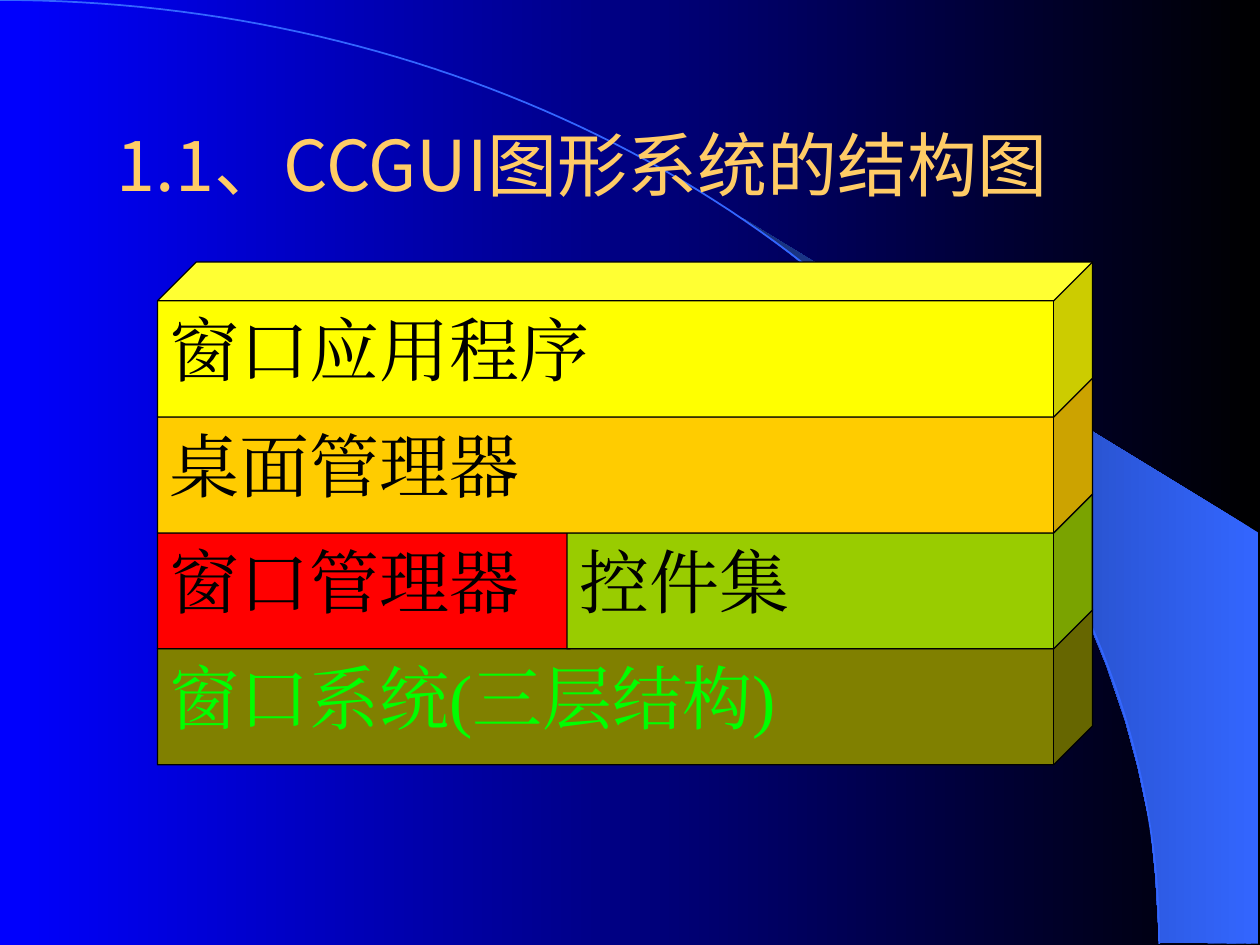
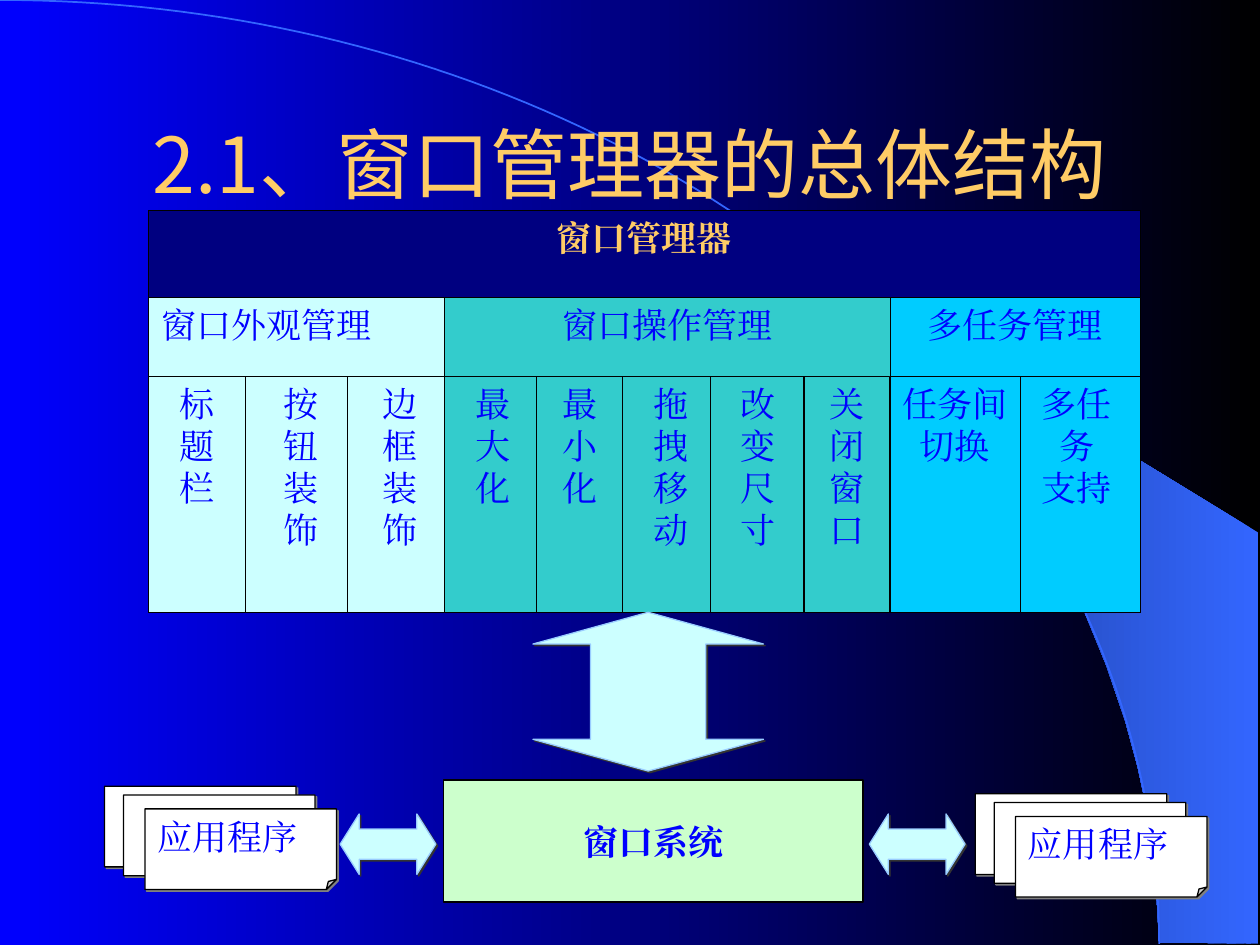
import math

import lxml.etree
import pptx
import pptx.dml.color
import pptx.enum.shapes
import pptx.enum.text
import pptx.oxml.ns
import pptx.util

RGBColor = pptx.dml.color.RGBColor
BLACK = RGBColor(0x00, 0x00, 0x00)
WHITE = RGBColor(0xFF, 0xFF, 0xFF)
BLUE = RGBColor(0x00, 0x00, 0xFF)
NAVY = RGBColor(0x00, 0x00, 0x80)
GOLD = RGBColor(0xFF, 0xCC, 0x66)
ARC_BLUE = RGBColor(0x33, 0x66, 0xFF)
ARC_SHADE = RGBColor(0x17, 0x2F, 0x75)
YELLOW = RGBColor(0xFF, 0xFF, 0x00)
AMBER = RGBColor(0xFF, 0xCC, 0x00)
RED = RGBColor(0xFF, 0x00, 0x00)
LEAF = RGBColor(0x99, 0xCC, 0x00)
OLIVE = RGBColor(0x80, 0x80, 0x00)
LIME = RGBColor(0x00, 0xFF, 0x00)
PALE_CYAN = RGBColor(0xCC, 0xFF, 0xFF)
PALE_GREEN = RGBColor(0xCC, 0xFF, 0xCC)
TEAL = RGBColor(0x33, 0xCC, 0xCC)
SKY = RGBColor(0x00, 0xCC, 0xFF)
ARROW_LINE = RGBColor(0x99, 0xCC, 0xFF)
DARK_GREY = RGBColor(0x33, 0x33, 0x33)
GREY = RGBColor(0x80, 0x80, 0x80)

TITLE_FONT = "Noto Sans CJK SC"
TEXT_FONT = "Times New Roman"
WIDTH, HEIGHT = 10, 7.5
ARC_WIDTH, ARC_HEIGHT = 9.2, 7.49
SWOOSH = [(9.2, 7.48), (9.99, 7.49), (9.99, 4.23), (5.89, 1.73), (6.24, 1.99),
          (6.53, 2.22), (6.85, 2.5), (7.16, 2.8), (7.62, 3.3), (8.03, 3.84),
          (8.32, 4.31), (8.58, 4.79), (8.78, 5.28), (8.93, 5.72), (9.03, 6.09),
          (9.13, 6.56), (9.17, 6.96)]

STACK_LEFT, STACK_TOP, STACK_WIDTH = 1.25, 2.08, 7.42
CUBE_HEIGHT, ROW_STEP = 1.23, 0.92
CUBES = [("窗口系统(三层结构)", 3, 0, STACK_WIDTH, OLIVE, LIME),
         ("窗口管理器", 2, 0, 3.58, RED, BLACK),
         ("控件集", 2, 3.25, 4.17, LEAF, BLACK),
         ("桌面管理器", 1, 0, STACK_WIDTH, AMBER, BLACK),
         ("窗口应用程序", 0, 0, STACK_WIDTH, YELLOW, BLACK)]

HEADER_TOP, CELL_TOP, TABLE_BOTTOM = 2.36, 2.99, 4.86
GROUPS = [
    ("窗口外观管理", 1.18, 2.35, PALE_CYAN, "left",
     [("标\n题\n栏", 1.18, 0.77), ("按\n钮\n装\n饰", 1.95, 0.88),
      ("边\n框\n装\n饰", 2.76, 0.83)]),
    ("多任务管理", 7.06, 1.99, SKY, "center",
     [("多任务\n支持", 8.04, 1.01), ("任务间\n切换", 7.06, 1.04)]),
    ("窗口操作管理", 3.53, 3.54, TEAL, "center",
     [("最\n大\n化", 3.53, 0.77), ("最\n小\n化", 4.26, 0.68),
      ("拖\n拽\n移\n动", 4.94, 0.77), ("改\n变\n尺\n寸", 5.64, 0.75),
      ("关\n闭\n窗\n口", 6.38, 0.68)])]

PAPER_OFFSETS = [(0, 0), (0.15, 0.07), (0.32, 0.18)]
ALIGNMENTS = {"left": pptx.enum.text.PP_ALIGN.LEFT,
              "center": pptx.enum.text.PP_ALIGN.CENTER}


def inches(*lengths):
    """Convert lengths in inches to drawing units."""
    return [pptx.util.Inches(length) for length in lengths]


def format_text(frame, text, size, color, font=TEXT_FONT, align="left", bold=False):
    """Write paragraphs into a text frame with one shared style."""
    frame.text = text
    frame.word_wrap = True
    for para in frame.paragraphs:
        para.alignment = ALIGNMENTS[align]
        for span in para.runs:
            span.font.size = pptx.util.Pt(size)
            span.font.bold = bold
            span.font.name = font
            span.font.color.rgb = color
            east_asian = lxml.etree.SubElement(span.font._element, pptx.oxml.ns.qn("a:ea"))
            east_asian.set("typeface", font)


def set_gradient(fill, first, last):
    """Fill with a gradient that runs from right to left."""
    fill.gradient()
    fill.gradient_angle = 180
    for stop, color in zip(fill.gradient_stops, (first, last)):
        stop.color.rgb = color


def add_shadow(shape, color):
    """Give a shape a small hard shadow to the lower right."""
    effects = shape.element.spPr.find(pptx.oxml.ns.qn("a:effectLst"))
    shadow = lxml.etree.SubElement(effects, pptx.oxml.ns.qn("a:outerShdw"),
                                   dist=str(pptx.util.Pt(1.4)), dir="2700000",
                                   algn="ctr", rotWithShape="0")
    lxml.etree.SubElement(shadow, pptx.oxml.ns.qn("a:srgbClr"), val=str(color))


def set_guides(shape, **guides):
    """Set the named adjustment guides of a preset shape."""
    values = shape.element.spPr.find(".//" + pptx.oxml.ns.qn("a:avLst"))
    for guide in list(values):
        values.remove(guide)
    for name, share in guides.items():
        lxml.etree.SubElement(values, pptx.oxml.ns.qn("a:gd"), name=name,
                              fmla=f"val {round(share * 100000)}")


def add_box(slide, kind, area, fill, line=BLACK):
    """Add a flat preset shape with a thin outline."""
    kind = getattr(pptx.enum.shapes.MSO_SHAPE, kind)
    box = slide.shapes.add_shape(kind, *inches(*area))
    box.shadow.inherit = False
    box.fill.solid()
    box.fill.fore_color.rgb = fill
    box.line.color.rgb = line
    box.line.width = pptx.util.Pt(0.75)
    box.text_frame.vertical_anchor = pptx.enum.text.MSO_ANCHOR.TOP
    return box


def add_outline(slide, points, close):
    """Add a freeform through points given in inches."""
    start, *rest = [inches(*point) for point in points]
    builder = slide.shapes.build_freeform(*start)
    builder.add_line_segments(rest, close=close)
    outline = builder.convert_to_shape()
    outline.shadow.inherit = False
    return outline


def decorate_master(deck, slide):
    """Put the gradient, the swoosh and the arc on the slide master."""
    master = deck.slide_master
    set_gradient(master.background.fill, BLACK, BLUE)
    swoosh = add_outline(slide, SWOOSH, True)
    set_gradient(swoosh.fill, ARC_BLUE, ARC_SHADE)
    swoosh.line.fill.background()
    angles = [math.radians(degree) for degree in range(91)]
    arc = add_outline(slide, [(ARC_WIDTH * math.sin(angle), ARC_HEIGHT * (1 - math.cos(angle)))
                              for angle in angles], False)
    arc.fill.background()
    arc.line.color.rgb = ARC_BLUE
    arc.line.width = pptx.util.Pt(1)
    for shape in (swoosh, arc):
        master.shapes.element.append(shape.element)


def add_titled_slide(deck, text, left, width, size, side_margin):
    """Add a slide with its title placed and formatted."""
    slide = deck.slides.add_slide(deck.slide_layouts[5])
    title = slide.shapes.title
    title.left, title.top, title.width, title.height = inches(left, 0.67, width, 1.25)
    frame = title.text_frame
    frame.auto_size = pptx.enum.text.MSO_AUTO_SIZE.NONE
    frame.vertical_anchor = pptx.enum.text.MSO_ANCHOR.MIDDLE
    frame.margin_left = frame.margin_right = pptx.util.Inches(side_margin)
    format_text(frame, text, size, GOLD, TITLE_FONT, "center")
    return slide


def add_cube_stack(slide):
    """Stack the system layers from the bottom up."""
    for text, row, shift, width, fill, color in CUBES:
        area = (STACK_LEFT + shift, STACK_TOP + row * ROW_STEP, width, CUBE_HEIGHT)
        cube = add_box(slide, "CUBE", area, fill)
        format_text(cube.text_frame, text, 40, color)


def add_manager_chart(slide):
    """Draw the window manager with its groups and their functions."""
    banner = add_box(slide, "RECTANGLE", (1.18, 1.67, 7.87, 0.7), NAVY)
    format_text(banner.text_frame, "窗口管理器", 20, GOLD, align="center", bold=True)
    for name, left, width, fill, align, cells in GROUPS:
        area = (left, HEADER_TOP, width, TABLE_BOTTOM - HEADER_TOP)
        header = add_box(slide, "RECTANGLE", area, fill)
        format_text(header.text_frame, name, 20, BLUE, align=align)
        for text, cell_left, cell_width in cells:
            area = (cell_left, CELL_TOP, cell_width, TABLE_BOTTOM - CELL_TOP)
            cell = add_box(slide, "RECTANGLE", area, fill)
            format_text(cell.text_frame, text, 20, BLUE, align="center")


def add_arrow(slide, kind, area, head):
    """Add a shadowed two-way block arrow."""
    arrow = add_box(slide, kind, area, PALE_CYAN, ARROW_LINE)
    set_guides(arrow, adj1=0.5, adj2=head)
    add_shadow(arrow, DARK_GREY)


def add_paper_pile(slide, left, top):
    """Add overlapping sheets with the label on the front one."""
    for right, down in PAPER_OFFSETS:
        paper = add_box(slide, "FOLDED_CORNER", (left + right, top + down, 1.52, 0.64), WHITE)
        set_guides(paper, adj=0.125)
        add_shadow(paper, GREY)
    format_text(paper.text_frame, "应用程序", 20, BLUE)


def add_window_system(slide):
    """Draw the window system and its links to applications."""
    system = add_box(slide, "RECTANGLE", (3.52, 6.19, 3.33, 0.97), PALE_GREEN)
    format_text(system.text_frame, "窗口系统", 20, BLUE, align="center", bold=True)
    system.text_frame.vertical_anchor = pptx.enum.text.MSO_ANCHOR.MIDDLE
    add_arrow(slide, "UP_DOWN_ARROW", (4.23, 4.86, 1.83, 1.26), 0.2)
    for left in (2.7, 6.9):
        add_arrow(slide, "LEFT_RIGHT_ARROW", (left, 6.46, 0.76, 0.48), 0.315)
    for left, top in ((7.74, 6.3), (0.83, 6.24)):
        add_paper_pile(slide, left, top)


def main():
    """Build and save the deck."""
    deck = pptx.Presentation()
    deck.slide_width, deck.slide_height = inches(WIDTH, HEIGHT)
    layers = add_titled_slide(deck, "1.1、CCGUI图形系统的结构图", 0.33, 8.58, 40, 0)
    decorate_master(deck, layers)
    add_cube_stack(layers)
    manager = add_titled_slide(deck, "2.1、窗口管理器的总体结构", 0.75, 8.5, 44, 0.1)
    add_manager_chart(manager)
    add_window_system(manager)
    deck.save("out.pptx")


if __name__ == "__main__":
    main()
